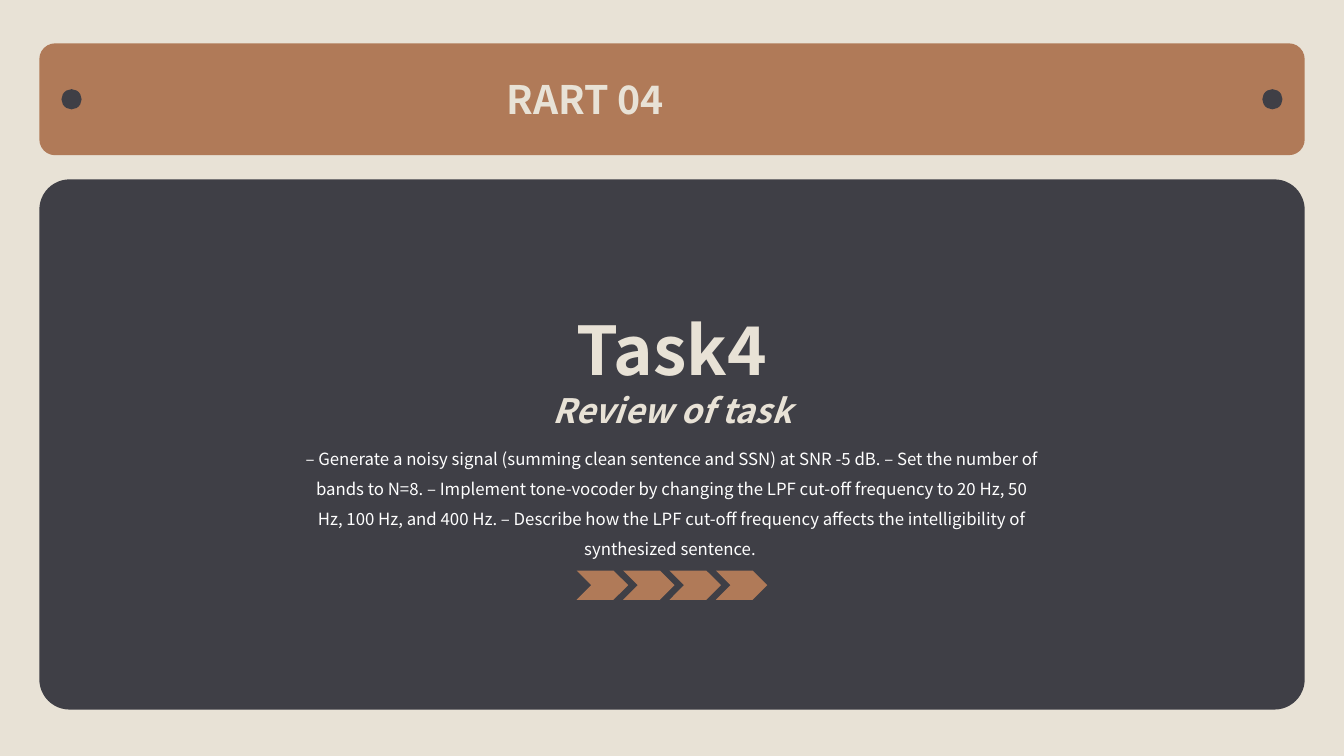
from pptx import Presentation
from pptx import util as u
from pptx.dml.color import RGBColor
from pptx.enum import shapes, text

CREAM = RGBColor(0xE8, 0xE2, 0xD6)
CHARCOAL = RGBColor(0x3F, 0x3F, 0x46)
COPPER = RGBColor(0xB0, 0x7A, 0x58)
WHITE = RGBColor(0xFF, 0xFF, 0xFF)
FONT = "Noto Sans CJK SC"
KIND = shapes.MSO_SHAPE
ALIGN = text.PP_ALIGN

TASK_DETAILS = (
    "– Generate a noisy signal (summing clean sentence and SSN) at SNR -5 dB. "
    "– Set the number of bands to N=8. "
    "– Implement tone-vocoder by changing the LPF cut-off frequency to "
    "20 Hz, 50 Hz, 100 Hz, and 400 Hz. "
    "– Describe how the LPF cut-off frequency affects the intelligibility of "
    "synthesized sentence. "
)


def add_block(parent, kind, left, top, width, height, color, rounding=None):
    block = parent.shapes.add_shape(
        kind, *map(u.Inches, (left, top, width, height)))
    block.shadow.inherit = False
    block.fill.solid()
    block.fill.fore_color.rgb = color
    block.line.fill.background()
    if rounding is not None:
        block.adjustments[0] = rounding


def add_label(page, left, top, width, height, wording, size, color=CREAM,
              align=ALIGN.CENTER, bold=True, italic=False, spacing=None):
    box = page.shapes.add_textbox(
        *map(u.Inches, (left, top, width, height)))
    frame = box.text_frame
    frame.word_wrap = True
    frame.auto_size = text.MSO_AUTO_SIZE.SHAPE_TO_FIT_TEXT
    para = frame.paragraphs[0]
    para.alignment = align
    if spacing:
        para.line_spacing = spacing
    span = para.add_run()
    span.text = wording
    span.font.name = FONT
    span.font.size = u.Pt(size)
    span.font.bold = bold
    span.font.italic = italic
    span.font.color.rgb = color


def add_header(page, left, top, width, height):
    add_block(page, KIND.ROUNDED_RECTANGLE, left, top, width, height,
              COPPER, 0.141)
    dot, inset = 0.2, 0.22
    for dot_left in (left + inset, left + width - inset - dot):
        add_block(page, KIND.OVAL, dot_left, top + (height - dot) / 2,
                  dot, dot, CHARCOAL)
    add_label(page, left + 4.54, top + 0.27, 3.45, 0.57, "RART 04", 28,
              align=ALIGN.JUSTIFY)


def add_chevrons(page, left, top, count=4, pitch=0.46):
    group = page.shapes.add_group_shape()
    for index in range(count):
        add_block(group, KIND.CHEVRON, left + index * pitch, top,
                  0.51, 0.29, COPPER)


def add_task_panel(page, left, top, width, height):
    add_block(page, KIND.ROUNDED_RECTANGLE, left, top, width, height,
              CHARCOAL, 0.057)
    middle = left + width / 2
    add_label(page, middle - 2.335, top + 1.23, 4.67, 0.91, "Task4", 48)
    add_label(page, middle - 3.765, top + 2.52, 7.53, 0.98, TASK_DETAILS, 12,
              color=WHITE, bold=False, spacing=1.5)
    add_label(page, middle - 2.915, top + 2.04, 5.83, 0.5, "Review of task",
              24, italic=True)
    add_chevrons(page, middle - 0.945, top + 3.88)


def main():
    deck = Presentation()
    deck.slide_width = u.Inches(13.33)
    deck.slide_height = u.Inches(7.5)
    page = deck.slides.add_slide(deck.slide_layouts[6])
    page.background.fill.solid()
    page.background.fill.fore_color.rgb = CREAM
    add_task_panel(page, 0.39, 1.78, 12.55, 5.26)
    add_header(page, 0.39, 0.43, 12.55, 1.11)
    deck.save("out.pptx")


if __name__ == "__main__":
    main()
